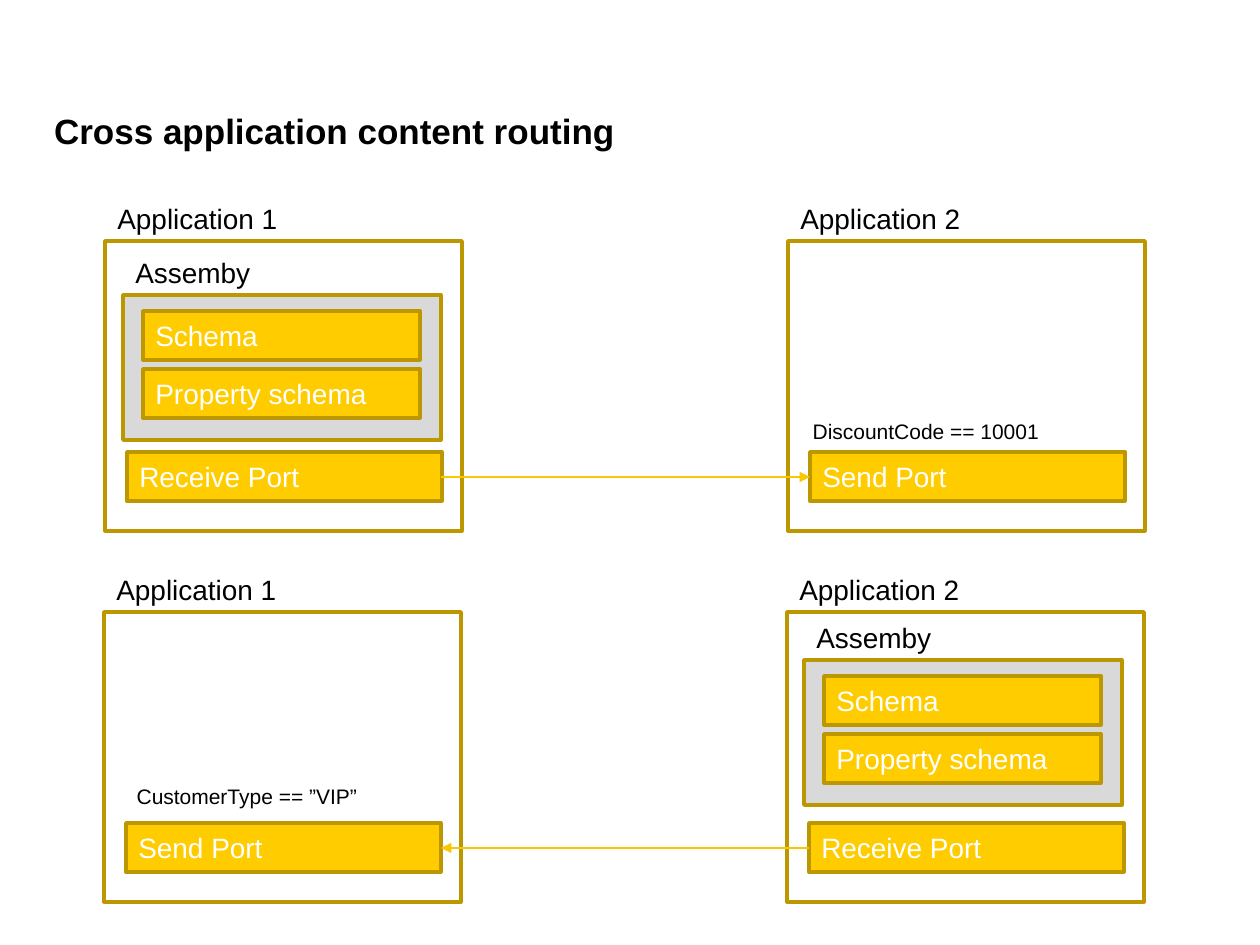
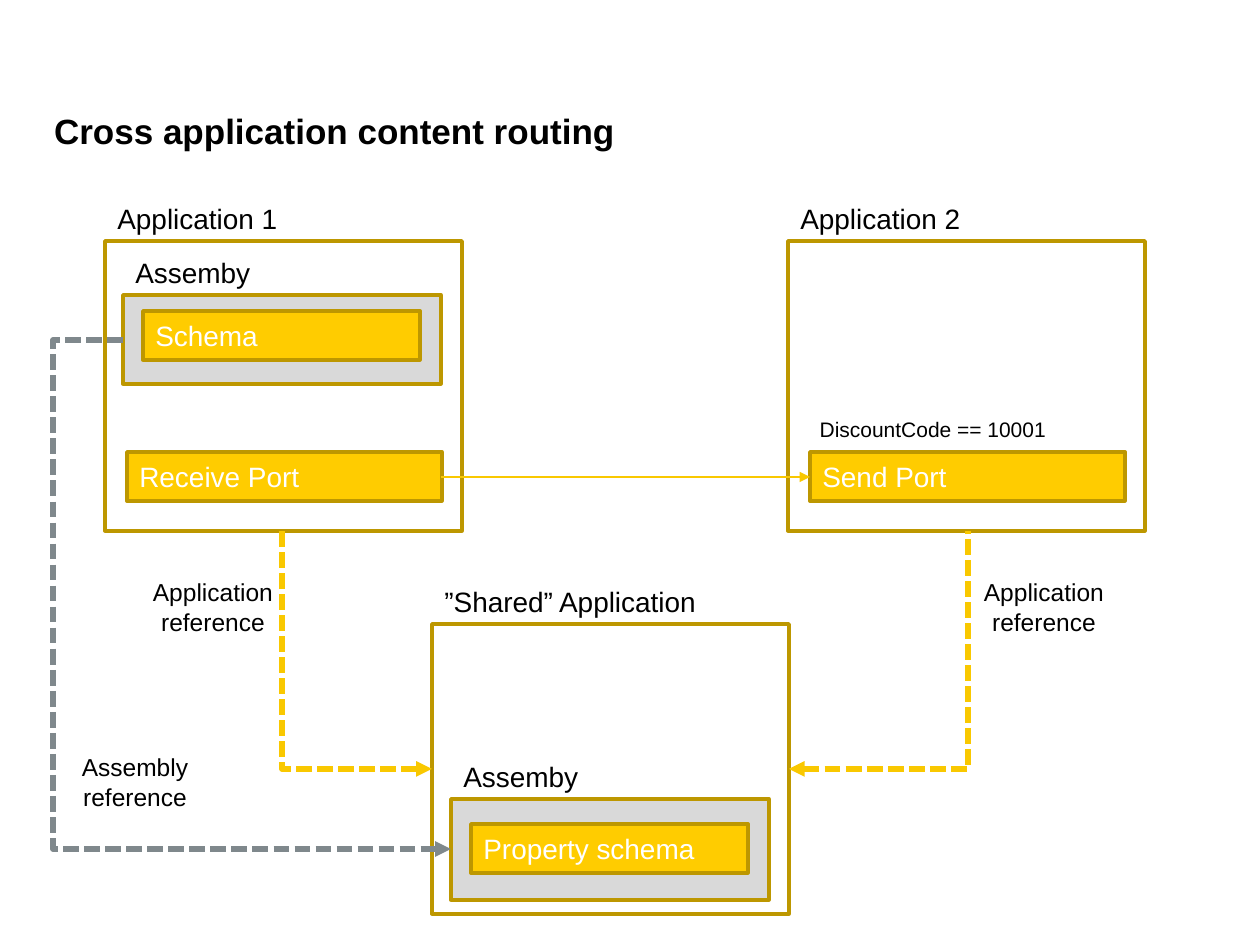
from dataclasses import dataclass

from lxml.etree import SubElement
from pptx import Presentation
from pptx.dml.color import RGBColor
from pptx.enum.dml import MSO_LINE
from pptx.enum.shapes import MSO_CONNECTOR, MSO_SHAPE
from pptx.enum.text import MSO_ANCHOR, PP_ALIGN
from pptx.oxml.ns import qn
from pptx.util import Emu, Pt

SCALE = 914400 / 126


def px(length):
    return Emu(round(length * SCALE))


@dataclass(frozen=True)
class Theme:
    font: str = "Arial"
    ink: str = "000000"
    white: str = "FFFFFF"
    gold: str = "FFCC00"
    edge: str = "BD9700"
    panel: str = "D9D9D9"
    arrow: str = "F9C800"
    slate: str = "7F888C"
    title_size: int = 20
    label_size: int = 16
    reference_size: int = 14
    note_size: int = 12


class Diagram:
    """Draws routing diagrams in one theme on the current page."""

    def __init__(self, theme):
        self.theme = theme
        self.deck = Presentation()
        self.deck.slide_width, self.deck.slide_height = px(1260), px(945)

    def new_page(self, title):
        self.page = self.deck.slides.add_slide(self.deck.slide_layouts[6])
        box = self.text(54, 106, 1152, 49, [title], self.theme.title_size, bold=True)
        frame = box.text_frame
        frame.word_wrap = True
        frame.vertical_anchor = MSO_ANCHOR.MIDDLE
        frame.margin_left = frame.margin_right = 0
        frame.margin_top = frame.margin_bottom = 0

    def fill_text(self, frame, lines, size, color, align=PP_ALIGN.LEFT, bold=False):
        for index, line in enumerate(lines):
            para = frame.paragraphs[0] if index == 0 else frame.add_paragraph()
            para.text = line
            para.alignment = align
            para.font.name = self.theme.font
            para.font.size = Pt(size)
            para.font.bold = bold
            para.font.color.rgb = RGBColor.from_string(color)

    def text(self, x, y, width, height, lines, size, align=PP_ALIGN.LEFT, bold=False):
        box = self.page.shapes.add_textbox(px(x), px(y), px(width), px(height))
        box.text_frame.word_wrap = False
        self.fill_text(box.text_frame, lines, size, self.theme.ink, align, bold)
        return box

    def label(self, x, y, width, name):
        self.text(x, y - 46, width, 47, [name], self.theme.label_size)

    def note(self, x, y, condition):
        self.text(x, y, 328, 38, [condition], self.theme.note_size, PP_ALIGN.CENTER)

    def reference(self, x, y, width, kind):
        self.text(x, y, width, 72, [kind, "reference"], self.theme.reference_size, PP_ALIGN.CENTER)

    def rectangle(self, x, y, width, height, fill=None):
        box = self.page.shapes.add_shape(MSO_SHAPE.RECTANGLE, px(x), px(y), px(width), px(height))
        box.shadow.inherit = False
        if fill:
            box.fill.solid()
            box.fill.fore_color.rgb = RGBColor.from_string(fill)
        else:
            box.fill.background()
        box.line.color.rgb = RGBColor.from_string(self.theme.edge)
        box.line.width = Pt(2)
        return box

    def bar(self, x, y, width, name):
        box = self.rectangle(x, y, width, 49, self.theme.gold)
        box.text_frame.vertical_anchor = MSO_ANCHOR.MIDDLE
        self.fill_text(box.text_frame, [name], self.theme.label_size, self.theme.white)

    def application(self, x, y, name, port=None, label_width=186):
        self.rectangle(x, y, 357, 290)
        self.label(x, y, label_width, name)
        if port:
            self.bar(x + 22, y + 211, 315, port)

    def assembly(self, x, y, height, schemas, inset=16):
        self.rectangle(x, y, 318, height, self.theme.panel)
        self.label(x, y, 141, "Assemby")
        for index, schema in enumerate(schemas):
            self.bar(x + 20, y + inset + 58 * index, 277, schema)

    def connector(self, kind, start, end, color, width, arrow="a:tailEnd", dash=None):
        line = self.page.shapes.add_connector(kind, *map(px, start + end))
        line.line.color.rgb = RGBColor.from_string(color)
        line.line.width = Pt(width)
        if dash:
            line.line.dash_style = dash
        properties = line.element.spPr
        SubElement(properties.find(qn("a:ln")), qn(arrow), type="triangle")
        SubElement(properties, qn("a:effectLst"))
        return properties.find(qn("a:prstGeom"))

    def route(self, start, end):
        self.connector(MSO_CONNECTOR.STRAIGHT, start, end, self.theme.arrow, 0.75)

    def elbow(self, start, end, color, arrow):
        return self.connector(MSO_CONNECTOR.ELBOW, start, end, color, 3, arrow, MSO_LINE.SQUARE_DOT)

    def corner(self, tip, origin):
        geometry = self.elbow(tip, origin, self.theme.arrow, "a:headEnd")
        geometry.set("prst", "bentConnector2")

    def detour(self, origin, tip, bend):
        geometry = self.elbow(origin, tip, self.theme.slate, "a:tailEnd")
        share = round((bend - origin[0]) / (tip[0] - origin[0]) * 100000)
        guides = geometry.find(qn("a:avLst"))
        if guides is None:
            guides = SubElement(geometry, qn("a:avLst"))
        SubElement(guides, qn("a:gd"), name="adj1", fmla=f"val {share}")

    def discount_routing(self):
        self.application(105, 241, "Application 1", "Receive Port")
        self.application(788, 241, "Application 2", "Send Port")
        self.route((441, 477), (810, 477))


TITLE = "Cross application content routing"
SCHEMAS = ["Schema", "Property schema"]
diagram = Diagram(Theme())

diagram.new_page(TITLE)
diagram.discount_routing()
diagram.assembly(123, 295, 145, SCHEMAS)
diagram.note(762, 412, "DiscountCode == 10001")
diagram.application(104, 612, "Application 1", "Send Port")
diagram.application(787, 612, "Application 2", "Receive Port")
diagram.assembly(804, 660, 145, SCHEMAS)
diagram.route((809, 848), (441, 848))
diagram.note(83, 777, "CustomerType == ”VIP”")

diagram.new_page(TITLE)
diagram.discount_routing()
diagram.assembly(123, 295, 89, SCHEMAS[:1])
diagram.note(769, 410, "DiscountCode == 10001")
diagram.application(432, 624, "”Shared” Application", label_width=280)
diagram.assembly(451, 799, 101, SCHEMAS[1:], inset=25)
diagram.corner((432, 769), (282, 531))
diagram.corner((789, 769), (968, 531))
diagram.reference(140, 571, 146, "Application")
diagram.reference(971, 571, 146, "Application")
diagram.detour((123, 340), (451, 849), 53)
diagram.reference(69, 746, 132, "Assembly")

diagram.deck.save("out.pptx")
